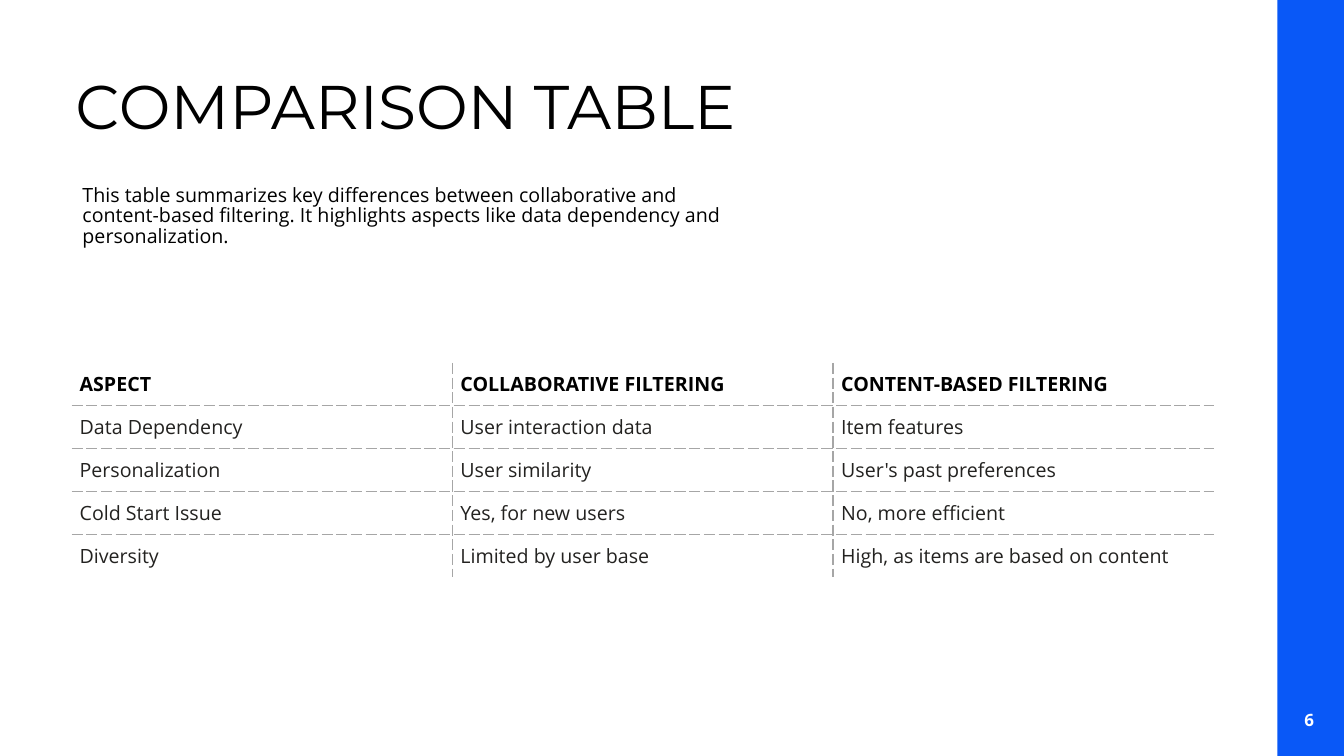
from lxml.etree import SubElement
from pptx import Presentation
from pptx.dml.color import RGBColor
from pptx.enum.shapes import MSO_SHAPE as Shape
from pptx.enum.text import MSO_ANCHOR as Anchor, PP_ALIGN as Align
from pptx.oxml.ns import qn
from pptx.util import Inches, Pt

COLORS = {
    "accent": "0958F7",
    "black": "000000",
    "body": "232220",
    "rule": "A6A6A6",
    "white": "FFFFFF",
}


def write_text(frame, text, size=14, font="Open Sans", color="black", bold=False,
               align=Align.LEFT, anchor=Anchor.MIDDLE, spacing=None):
    frame.word_wrap = True
    frame.vertical_anchor = anchor
    paragraph = frame.paragraphs[0]
    paragraph.alignment = align
    paragraph.line_spacing = spacing
    run = paragraph.add_run()
    run.text = text
    run.font.size = Pt(size)
    run.font.name = font
    run.font.bold = bold
    run.font.color.rgb = RGBColor.from_string(COLORS[color])


def set_border(cell, side, visible):
    """Draw a dashed rule on one side (L, R, T or B) of a cell, or clear it."""
    line = SubElement(cell._tc.get_or_add_tcPr(), qn(f"a:ln{side}"))
    if visible:
        line.set("w", str(Pt(1)))
        fill = SubElement(line, qn("a:solidFill"))
        SubElement(fill, qn("a:srgbClr")).set("val", COLORS["rule"])
        SubElement(line, qn("a:prstDash")).set("val", "sysDash")
    else:
        line.set("w", "0")
        SubElement(line, qn("a:noFill"))


prs = Presentation()
prs.slide_width = Inches(13.33)
prs.slide_height = Inches(7.5)
slide = prs.slides.add_slide(prs.slide_layouts[6])

side_band = slide.shapes.add_shape(
    Shape.RECTANGLE, Inches(12.67), 0, Inches(0.67), Inches(7.5))
side_band.shadow.inherit = False
side_band.fill.solid()
side_band.fill.fore_color.rgb = RGBColor.from_string(COLORS["accent"])
side_band.line.fill.background()

rows = [
    ("ASPECT", "COLLABORATIVE FILTERING", "CONTENT-BASED FILTERING"),
    ("Data Dependency", "User interaction data", "Item features"),
    ("Personalization", "User similarity", "User's past preferences"),
    ("Cold Start Issue", "Yes, for new users", "No, more efficient"),
    ("Diversity", "Limited by user base", "High, as items are based on content"),
]
last_row, last_col = len(rows) - 1, len(rows[0]) - 1
comparison = slide.shapes.add_table(
    len(rows), len(rows[0]), Inches(0.71), Inches(3.6), Inches(11.33), Inches(1.97)).table
comparison.horz_banding = False

for r, row in enumerate(rows):
    for c, text in enumerate(row):
        cell = comparison.cell(r, c)
        cell.margin_left = cell.margin_right = Inches(0.08)
        cell.margin_top = cell.margin_bottom = Inches(0.08)
        cell.vertical_anchor = Anchor.MIDDLE
        header = r == 0
        write_text(cell.text_frame, text, bold=header, color="black" if header else "body")
        inner_sides = {"L": c > 0, "R": c < last_col, "T": r > 0, "B": r < last_row}
        for side, visible in inner_sides.items():
            set_border(cell, side, visible)
        cell.fill.background()

captions = [
    ((0.65, 0.62, 11.33, 1.04), "COMPARISON TABLE",
     dict(size=44, font="Montserrat", anchor=Anchor.TOP)),
    ((0.72, 1.72, 6.6, 0.86),
     "This table summarizes key differences between collaborative and content-based "
     "filtering. It highlights aspects like data dependency and personalization.",
     dict(spacing=0.88)),
    ((12.65, 6.94, 0.67, 0.39), "6",
     dict(size=12.1, color="white", bold=True, align=Align.CENTER)),
]
for box, text, style in captions:
    caption = slide.shapes.add_textbox(*map(Inches, box))
    write_text(caption.text_frame, text, **style)

prs.save("out.pptx")
